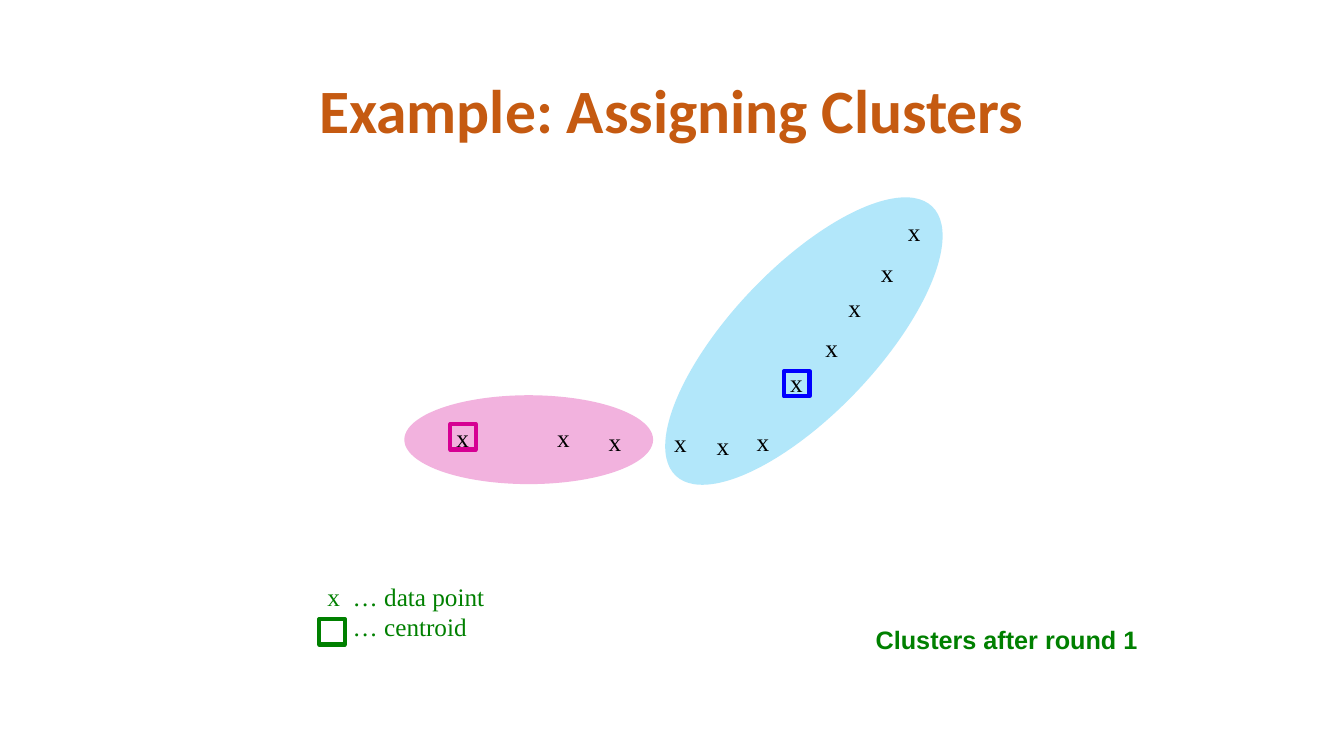
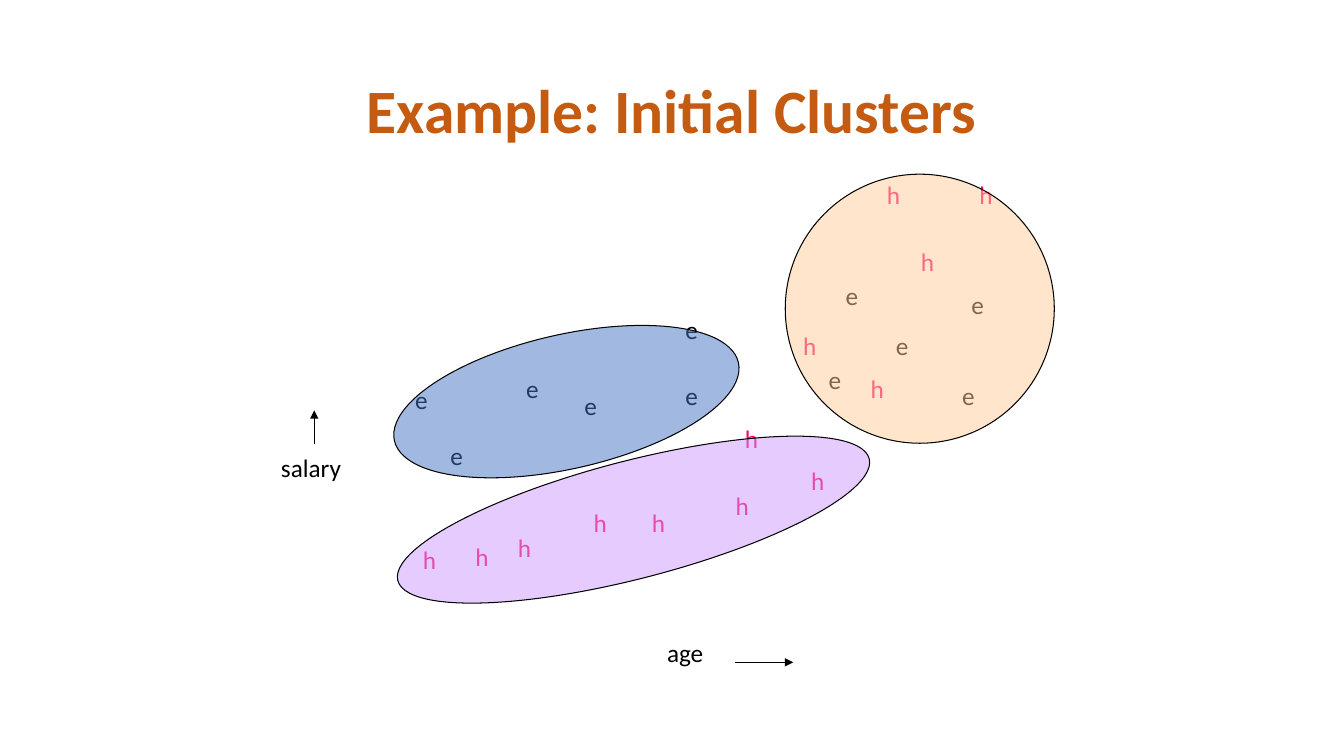
from pptx import Presentation
from pptx.dml.color import RGBColor
from pptx.enum.shapes import MSO_CONNECTOR, MSO_SHAPE
from pptx.enum.text import MSO_ANCHOR, PP_ALIGN
from pptx.oxml.ns import qn
from pptx.util import Cm, Pt
from lxml import etree

OVAL, SQUARE = MSO_SHAPE.OVAL, MSO_SHAPE.RECTANGLE
STRAIGHT = MSO_CONNECTOR.STRAIGHT
MIDDLE, CENTER = MSO_ANCHOR.MIDDLE, PP_ALIGN.CENTER
TITLE_ONLY = 5

COLORS = {
    "title": "C55A11", "ink": "000000", "note": "008000",
    "magenta": "D60093", "sky": "00B0F0", "blue": "0000FF",
    "steel": "4472C4", "peach": "FFCC99", "lilac": "CC99FF", "rose": "FF0066",
}
SERIF, SANS, BODY = "Times New Roman", "Arial", "Calibri"
CENTROID_SIDE = 0.64
MARK_WIDTH, LINE_HEIGHT = 1.0, 1.02
LEGEND_TAB = 0.64

ROUND_POINTS = [
    (1.25, 7.02), (3.79, 7.02), (5.09, 7.12), (6.74, 7.14), (7.81, 7.22), (8.82, 7.12),
    (9.66, 5.64), (10.55, 4.76), (11.13, 3.74), (11.95, 2.85), (12.63, 1.83),
]
E_POINTS = [
    (0.38, 5.18), (4.65, 5.31), (7.19, 3.4), (10.8, 4.67), (11.23, 2.54), (14.4, 2.77),
    (1.27, 6.58), (3.18, 4.88), (7.19, 5.08), (12.5, 3.81), (14.17, 5.08),
]
H_POINTS = [
    (0.58, 9.19), (10.16, 3.81), (10.36, 7.21), (11.86, 4.88), (13.13, 1.7), (14.6, 0),
    (4.88, 8.26), (6.35, 8.26), (8.69, 6.15), (8.46, 7.85), (12.27, 0), (1.9, 9.12),
    (2.97, 8.89),
]


def rgb(name):
    """Return the named colour."""
    return RGBColor.from_string(COLORS[name])


def set_font(paragraph, face, color, size=18, bold=False):
    """Format a whole paragraph."""
    font = paragraph.font
    font.name, font.size, font.bold = face, Pt(size), bold
    font.color.rgb = rgb(color)


def add_titled_slide(prs, title):
    """Add a slide with the shared title style."""
    slide = prs.slides.add_slide(prs.slide_layouts[TITLE_ONLY])
    heading = slide.shapes.title
    heading.left, heading.top = Cm(2.33), Cm(1.01)
    heading.width, heading.height = Cm(29.21), Cm(3.68)
    heading.text_frame.text = title
    heading.text_frame.vertical_anchor = MIDDLE
    paragraph = heading.text_frame.paragraphs[0]
    paragraph.alignment, paragraph.line_spacing = CENTER, 0.9
    set_font(paragraph, BODY, "title", 44, True)
    return slide


def add_label(slide, text, left, top, width, face, color, bold=False, tab=None):
    """Add text in a box, with an optional tab stop."""
    lines = text.split("\n")
    box = slide.shapes.add_textbox(Cm(left), Cm(top), Cm(width), Cm(LINE_HEIGHT))
    box.text_frame.word_wrap = True
    box.text_frame.text = text
    for paragraph in box.text_frame.paragraphs[:len(lines)]:
        if tab:
            stops = etree.SubElement(paragraph._p.get_or_add_pPr(), qn("a:tabLst"))
            etree.SubElement(stops, qn("a:tab"), pos=str(Cm(tab)), algn="l")
        set_font(paragraph, face, color, bold=bold)


def add_marks(slide, mark, points, origin, face, color):
    """Scatter one letter over points measured from the origin."""
    for x, y in points:
        add_label(slide, mark, origin[0] + x, origin[1] + y, MARK_WIDTH, face, color)


def add_cluster(slide, origin, box, color, opacity, rotation=0, outlined=False):
    """Add a translucent ellipse around a cluster."""
    x, y, width, height = box
    cluster = slide.shapes.add_shape(
        OVAL, Cm(origin[0] + x), Cm(origin[1] + y), Cm(width), Cm(height))
    cluster.shadow.inherit = False
    cluster.rotation = rotation
    cluster.fill.solid()
    cluster.fill.fore_color.rgb = rgb(color)
    tint = cluster.element.spPr.find(qn("a:solidFill"))[0]
    etree.SubElement(tint, qn("a:alpha"), val=str(opacity * 1000))
    if outlined:
        cluster.line.color.rgb = rgb("ink")
        cluster.line.width = Pt(0.75)
    else:
        cluster.line.fill.background()


def add_centroid(slide, left, top, color):
    """Add the open square that marks a centroid."""
    centroid = slide.shapes.add_shape(
        SQUARE, Cm(left), Cm(top), Cm(CENTROID_SIDE), Cm(CENTROID_SIDE))
    centroid.shadow.inherit = False
    centroid.fill.background()
    centroid.line.color.rgb = rgb(color)
    centroid.line.width = Pt(3)


def add_legend(slide, left, top):
    """Explain the point and centroid marks."""
    add_label(slide, "x\t… data point\n\t… centroid", left, top, 5, SERIF, "note",
              tab=LEGEND_TAB)
    add_centroid(slide, left + 0.05, top + 1.07, "note")


def add_axis(slide, name, left, top, start, end):
    """Add an axis name and an arrow measured from its corner."""
    add_label(slide, name, left, top, 2.69, BODY, "ink")
    arrow = slide.shapes.add_connector(
        STRAIGHT, Cm(left + start[0]), Cm(top + start[1]),
        Cm(left + end[0]), Cm(top + end[1]))
    arrow.line.color.rgb = rgb("ink")
    arrow.line.width = Pt(0.75)
    etree.SubElement(arrow.line._get_or_add_ln(), qn("a:tailEnd"), type="triangle")
    etree.SubElement(arrow._element.spPr, qn("a:effectLst"))


def build_assignment(prs):
    """Build the slide of clusters after the first round."""
    slide = add_titled_slide(prs, "Example: Assigning Clusters")
    plot = (10, 3.5)
    add_cluster(slide, plot, (0.19, 6.46, 6.27, 2.24), "magenta", 30)
    add_cluster(slide, plot, (8.42, 0.41, 3.68, 9.37), "sky", 30, 43.6)
    add_marks(slide, "x", ROUND_POINTS, plot, SERIF, "ink")
    for x, y, color in [(9.76, 5.85, "blue"), (1.35, 7.19, "magenta")]:
        add_centroid(slide, plot[0] + x, plot[1] + y, color)
    add_legend(slide, 8, 14.53)
    add_label(slide, "Clusters after round 1", 21.82, 15.6, 7.6, SANS, "note", bold=True)


def build_initial(prs):
    """Build the slide of initial clusters by age and salary."""
    slide = add_titled_slide(prs, "Example: Initial Clusters")
    plot = (9.83, 4.39)
    add_marks(slide, "e", E_POINTS, plot, BODY, "ink")
    add_marks(slide, "h", H_POINTS, plot, BODY, "rose")
    add_axis(slide, "salary", 6.83, 11.28, (1.09, -0.1), (1.09, -0.94))
    add_axis(slide, "age", 16.56, 15.93, (1.96, 0.76), (3.43, 0.76))
    for box, color, rotation in [
        ((0, 4.04, 8.89, 3.38), "steel", 347.2),
        ((9.96, 0, 6.78, 6.78), "peach", 0),
        ((0, 7.22, 12.27, 2.97), "lilac", 345.5),
    ]:
        add_cluster(slide, plot, box, color, 50, rotation, outlined=True)


def main():
    """Build and save the presentation."""
    prs = Presentation()
    prs.slide_width, prs.slide_height = Cm(33.87), Cm(19.05)
    build_assignment(prs)
    build_initial(prs)
    prs.save("out.pptx")


if __name__ == "__main__":
    main()
